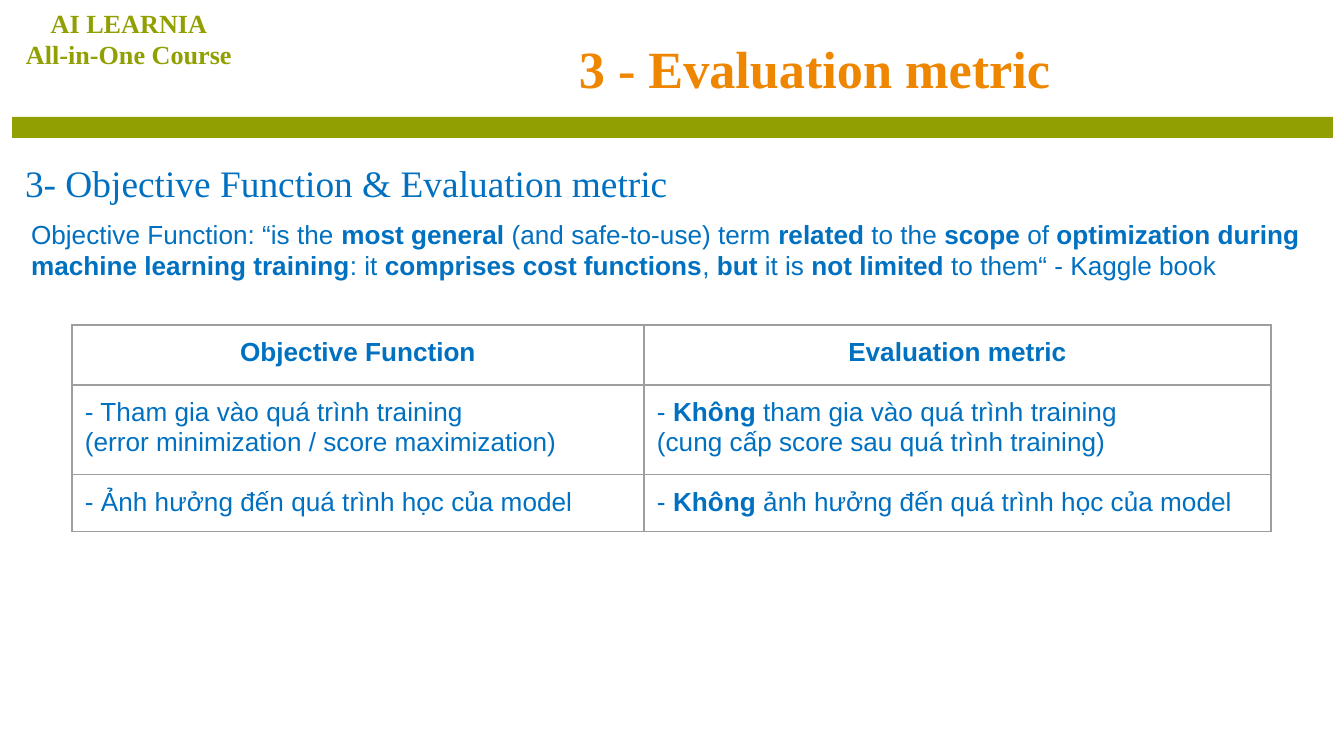
from lxml import etree
from pptx import Presentation
from pptx import util as u
from pptx.dml.color import RGBColor
from pptx.enum import shapes, text
from pptx.oxml import ns

SCALE = 914400 / 134.4  # EMU in one px
OLIVE = RGBColor(0x91, 0xA0, 0x00)
ORANGE = RGBColor(0xEF, 0x86, 0x00)
BLUE = RGBColor(0x00, 0x70, 0xC0)
GRAY = RGBColor(0x9E, 0x9E, 0x9E)
SERIF, SANS = "Times New Roman", "Arial"
LEFT, CENTER = text.PP_ALIGN.LEFT, text.PP_ALIGN.CENTER
INSET = 13

# Double asterisks switch bold on and off
QUOTE = (
    "Objective Function: “is the **most general** (and safe-to-use) term "
    "**related** to the **scope** of **optimization during machine learning "
    "training**: it **comprises cost functions**, **but** it is "
    "**not limited** to them“ - Kaggle book"
)
ROWS = [
    [["**Objective Function**"], ["**Evaluation metric**"]],
    [["- Tham gia vào quá trình training",
      "(error minimization / score maximization)"],
     ["- **Không** tham gia vào quá trình training",
      "(cung cấp score sau quá trình training)"]],
    [["- Ảnh hưởng đến quá trình học của model"],
     ["- **Không** ảnh hưởng đến quá trình học của model"]],
]
COLUMN_WIDTHS = [572, 627]
ROW_HEIGHTS = [60, 90, 57]


def px(length):
    return u.Emu(round(length * SCALE))


def place(shape, left, top, width, height):
    shape.left, shape.top = px(left), px(top)
    shape.width, shape.height = px(width), px(height)


def set_margins(target, side=INSET, end=INSET):
    target.margin_left = target.margin_right = px(side)
    target.margin_top = target.margin_bottom = px(end)


def write(frame, lines, size, color, font=SANS, align=LEFT):
    for index, line in enumerate(lines):
        para = frame.add_paragraph() if index else frame.paragraphs[0]
        para.alignment = align
        for part, words in enumerate(line.split("**")):
            if not words:
                continue
            span = para.add_run()
            span.text = words
            span.font.name = font
            span.font.size = u.Pt(size)
            span.font.bold = part % 2 == 1
            span.font.color.rgb = color


def prepare_frame(shape, end=INSET):
    frame = shape.text_frame
    frame.word_wrap = True
    frame.auto_size = text.MSO_AUTO_SIZE.NONE
    frame.vertical_anchor = text.MSO_ANCHOR.TOP
    set_margins(frame, end=end)
    return frame


def add_text(page, bounds, lines, end=INSET, **style):
    box = page.shapes.add_textbox(*map(px, bounds))
    write(prepare_frame(box, end), lines, **style)


def fill_placeholder(shape, bounds, line, **style):
    place(shape, *bounds)
    frame = prepare_frame(shape)
    write(frame, [line], **style)
    return frame.paragraphs[0]


def remove_bullet(para):
    properties = para._p.get_or_add_pPr()
    properties.set("marL", "0")
    properties.set("indent", "0")
    etree.SubElement(properties, ns.qn("a:buNone"))


def add_bar(page, bounds, color):
    bar = page.shapes.add_shape(shapes.MSO_SHAPE.RECTANGLE, *map(px, bounds))
    bar.shadow.inherit = False
    bar.fill.solid()
    bar.fill.fore_color.rgb = color
    bar.line.fill.background()


def draw_borders(cell, color, width):
    properties = cell._tc.get_or_add_tcPr()
    for side in ("lnL", "lnR", "lnT", "lnB"):
        line = etree.SubElement(properties, ns.qn(f"a:{side}"), w=str(u.Pt(width)))
        fill = etree.SubElement(line, ns.qn("a:solidFill"))
        etree.SubElement(fill, ns.qn("a:srgbClr"), val=str(color))


def add_comparison(page, left, top):
    bounds = (left, top, sum(COLUMN_WIDTHS), sum(ROW_HEIGHTS))
    table = page.shapes.add_table(
        len(ROWS), len(COLUMN_WIDTHS), *map(px, bounds)).table
    table.first_row = table.horz_banding = False
    for column, width in zip(table.columns, COLUMN_WIDTHS):
        column.width = px(width)
    for row, height in zip(table.rows, ROW_HEIGHTS):
        row.height = px(height)
    for r, row in enumerate(ROWS):
        for c, lines in enumerate(row):
            cell = table.cell(r, c)
            set_margins(cell)
            draw_borders(cell, GRAY, 0.75)
            cell.fill.background()
            write(cell.text_frame, lines, 14, BLUE,
                  align=LEFT if r else CENTER)


def main():
    deck = Presentation()
    deck.slide_width, deck.slide_height = px(1344), px(756)
    page = deck.slides.add_slide(deck.slide_layouts[1])

    # Header
    add_bar(page, (12, 117, 1321, 21), OLIVE)
    add_text(page, (12, 0, 234, 77), ["**AI LEARNIA**", "**All-in-One Course**"],
             end=7, size=14, color=OLIVE, font=SERIF, align=CENTER)
    fill_placeholder(page.shapes.title, (320, 23, 1002, 84),
                     "**3 - Evaluation metric **",
                     size=28, color=ORANGE, font=SERIF, align=CENTER)

    # Section heading
    heading = fill_placeholder(page.placeholders[1], (12, 140, 1321, 93),
                               "3- Objective Function & Evaluation metric",
                               size=20, color=BLUE, font=SERIF)
    remove_bullet(heading)
    heading.line_spacing = 1.15
    heading.space_before = u.Pt(0)
    heading.space_after = u.Pt(12)

    # Definition and comparison
    add_text(page, (18, 205, 1314, 90), [QUOTE], size=14, color=BLUE)
    add_comparison(page, 72, 325)

    deck.save("out.pptx")


if __name__ == "__main__":
    main()
